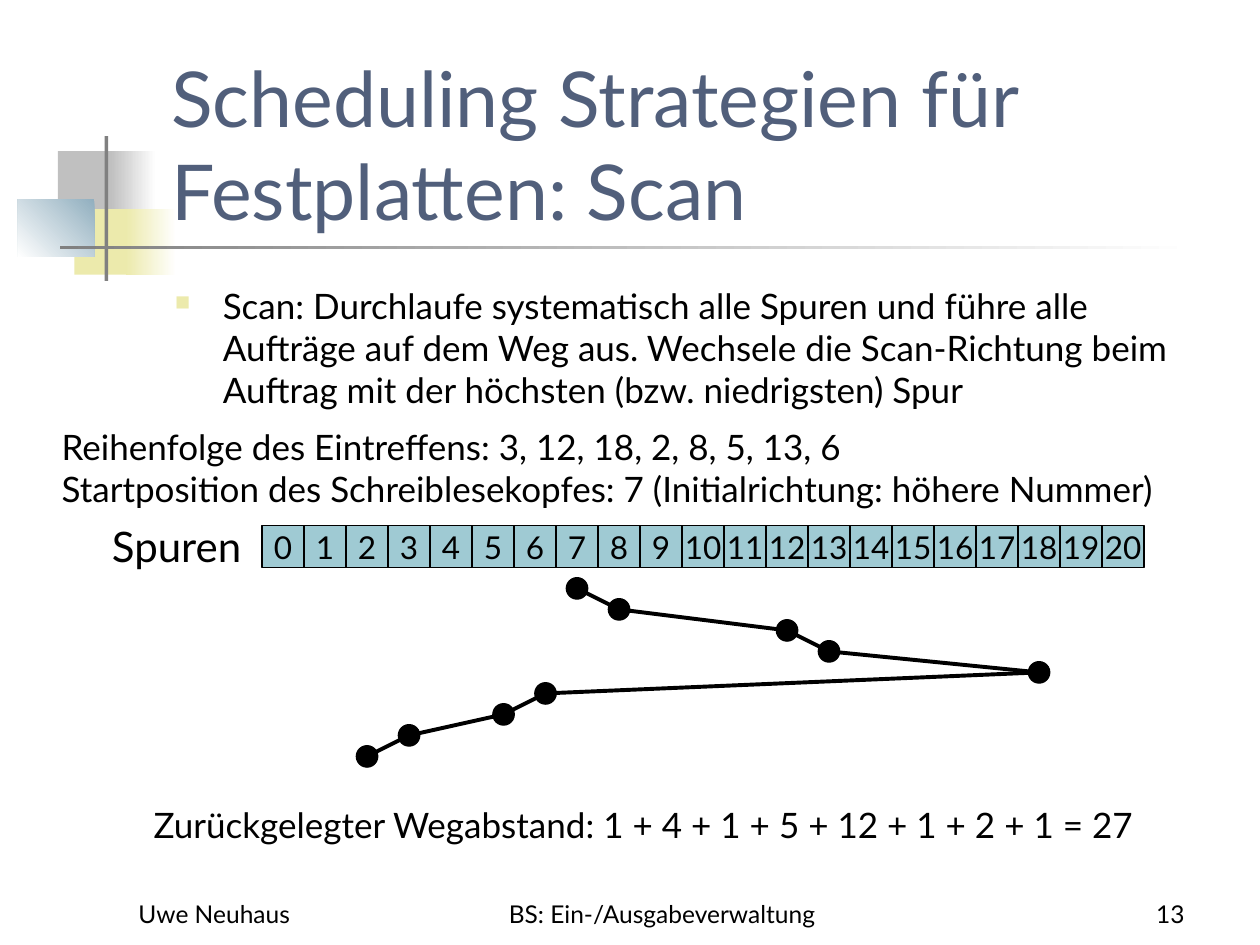
from itertools import pairwise

from lxml import etree
from pptx import Presentation
from pptx.dml.color import RGBColor
from pptx.enum.shapes import MSO_CONNECTOR, MSO_SHAPE
from pptx.enum.text import MSO_ANCHOR, PP_ALIGN
from pptx.oxml.ns import qn
from pptx.util import Inches, Pt

RECT, OVAL = MSO_SHAPE.RECTANGLE, MSO_SHAPE.OVAL
STRAIGHT = MSO_CONNECTOR.STRAIGHT
TOP, MIDDLE, BOTTOM = MSO_ANCHOR.TOP, MSO_ANCHOR.MIDDLE, MSO_ANCHOR.BOTTOM
LEFT, CENTER, RIGHT = PP_ALIGN.LEFT, PP_ALIGN.CENTER, PP_ALIGN.RIGHT

FONT = "Lato"
BLACK, WHITE, GRAY, SILVER = "000000", "FFFFFF", "808080", "C0C0C0"
SAND, STEEL, TEAL, SLATE = "ECEAAC", "91AFBF", "9FCAD3", "515F7B"

CELL = 1 / 3
ROW_X, ROW_Y = 2.08, 4.17
TRACKS = 21
PATH_Y, STEP, DOT = 4.67, 1 / 6, 0.17
STOPS = [7, 8, 12, 13, 18, 6.25, 5.25, 3, 2]


def color(code):
    return RGBColor.from_string(code)


def add_shape(slide, kind, box, fill, line=None):
    shape = slide.shapes.add_shape(kind, *map(Inches, box))
    shape.shadow.inherit = False
    shape.fill.solid()
    shape.fill.fore_color.rgb = color(fill)
    if line:
        shape.line.color.rgb = color(line)
        shape.line.width = Pt(0.75)
    else:
        shape.line.fill.background()
    return shape


def add_fade(slide, box, start, end, angle=180):
    shape = add_shape(slide, RECT, box, start)
    shape.fill.gradient()
    shape.fill.gradient_angle = angle
    for stop, code in zip(shape.fill.gradient_stops, (start, end)):
        stop.color.rgb = color(code)


def style(para, size, code=BLACK, align=LEFT):
    para.alignment = align
    para.font.name = FONT
    para.font.size = Pt(size)
    para.font.color.rgb = color(code)


def add_text(slide, box, lines, size, code=BLACK, align=LEFT, anchor=TOP):
    frame = slide.shapes.add_textbox(*map(Inches, box)).text_frame
    frame.word_wrap = True
    frame.vertical_anchor = anchor
    for i, line in enumerate(lines):
        para = frame.add_paragraph() if i else frame.paragraphs[0]
        para.text = line
        style(para, size, code, align)
    return frame


def add_bullet(para, mark, code, percent, indent):
    para.space_before = Pt(5)
    props = para._p.get_or_add_pPr()
    props.set("marL", str(Inches(indent)))
    props.set("indent", str(-Inches(indent)))
    tint = etree.Element(qn("a:buClr"))
    etree.SubElement(tint, qn("a:srgbClr"), val=code)
    size = etree.Element(qn("a:buSzPct"), val=str(percent * 1000))
    char = etree.Element(qn("a:buChar"), char=mark)
    last = props.find(qn("a:defRPr"))
    for item in (tint, size, char):
        last.addprevious(item)


def add_cell(slide, track):
    box = (ROW_X + track * CELL, ROW_Y, CELL, CELL)
    frame = add_shape(slide, RECT, box, TEAL, BLACK).text_frame
    frame.word_wrap = False
    frame.vertical_anchor = MIDDLE
    frame.text = str(track)
    style(frame.paragraphs[0], 18, align=CENTER)


def add_line(slide, start, end):
    line = slide.shapes.add_connector(STRAIGHT, *map(Inches, start + end))
    line.line.color.rgb = color(BLACK)
    line.line.width = Pt(2.25)
    etree.SubElement(line._element.spPr, qn("a:effectLst"))


def add_decor(slide):
    add_shape(slide, RECT, (0.46, 1.2, 0.48, 0.52), SILVER)
    add_fade(slide, (0.88, 1.2, 0.36, 0.52), WHITE, SILVER)
    add_shape(slide, RECT, (0.59, 1.66, 0.46, 0.52), SAND)
    add_fade(slide, (1, 1.66, 0.4, 0.52), WHITE, SAND)
    add_fade(slide, (0.14, 1.58, 0.61, 0.46), STEEL, WHITE, 225)
    add_shape(slide, RECT, (0.83, 1.08, 0.03, 1.15), GRAY)
    add_fade(slide, (0.48, 1.95, 9, 0.03), WHITE, GRAY)


def add_route(slide):
    points = [
        (ROW_X + (track + 0.5) * CELL, PATH_Y + i * STEP)
        for i, track in enumerate(STOPS)
    ]
    for start, end in pairwise(points):
        add_line(slide, start, end)
    for x, y in points:
        add_shape(slide, OVAL, (x - DOT / 2, y - DOT / 2, DOT, DOT), BLACK, BLACK)


def add_footer(slide):
    for x, width, text, align in (
        (1, 2.08, "Uwe Neuhaus", LEFT),
        (3.67, 3.17, "BS: Ein-/Ausgabeverwaltung", CENTER),
        (7.42, 2.08, "13", RIGHT),
    ):
        add_text(slide, (x, 6.92, width, 0.5), [text], 14, BLACK, align, BOTTOM)


def main():
    deck = Presentation()
    deck.slide_width, deck.slide_height = Inches(10), Inches(7.5)
    slide = deck.slides.add_slide(deck.slide_layouts[6])
    add_decor(slide)
    add_text(slide, (1.26, 0.67, 8.52, 1.25),
             ["Scheduling Strategien für Festplatten: Scan"], 44, SLATE,
             anchor=BOTTOM)
    body = add_text(slide, (1.29, 2.21, 8.71, 1.1), [
        "Scan: Durchlaufe systematisch alle Spuren und führe alle \n"
        "Aufträge auf dem Weg aus. Wechsele die Scan-Richtung beim "
        "Auftrag mit der höchsten (bzw. niedrigsten) Spur"], 20)
    add_bullet(body.paragraphs[0], "■", SAND, 60, 0.38)
    add_text(slide, (0.39, 3.33, 9.58, 0.77), [
        "Reihenfolge des Eintreffens: 3, 12, 18, 2, 8, 5, 13, 6",
        "Startposition des Schreiblesekopfes: 7 "
        "(Initialrichtung: höhere Nummer)"], 20)
    add_text(slide, (0.79, 4.08, 1.32, 0.5), ["Spuren"], 24)
    for track in range(TRACKS):
        add_cell(slide, track)
    add_route(slide)
    add_text(slide, (1.12, 6.33, 8.25, 0.44), [
        "Zurückgelegter Wegabstand: 1 + 4 + 1 + 5 + 12 + 1 + 2 + 1 = 27"], 20)
    add_footer(slide)
    deck.save("out.pptx")


if __name__ == "__main__":
    main()
